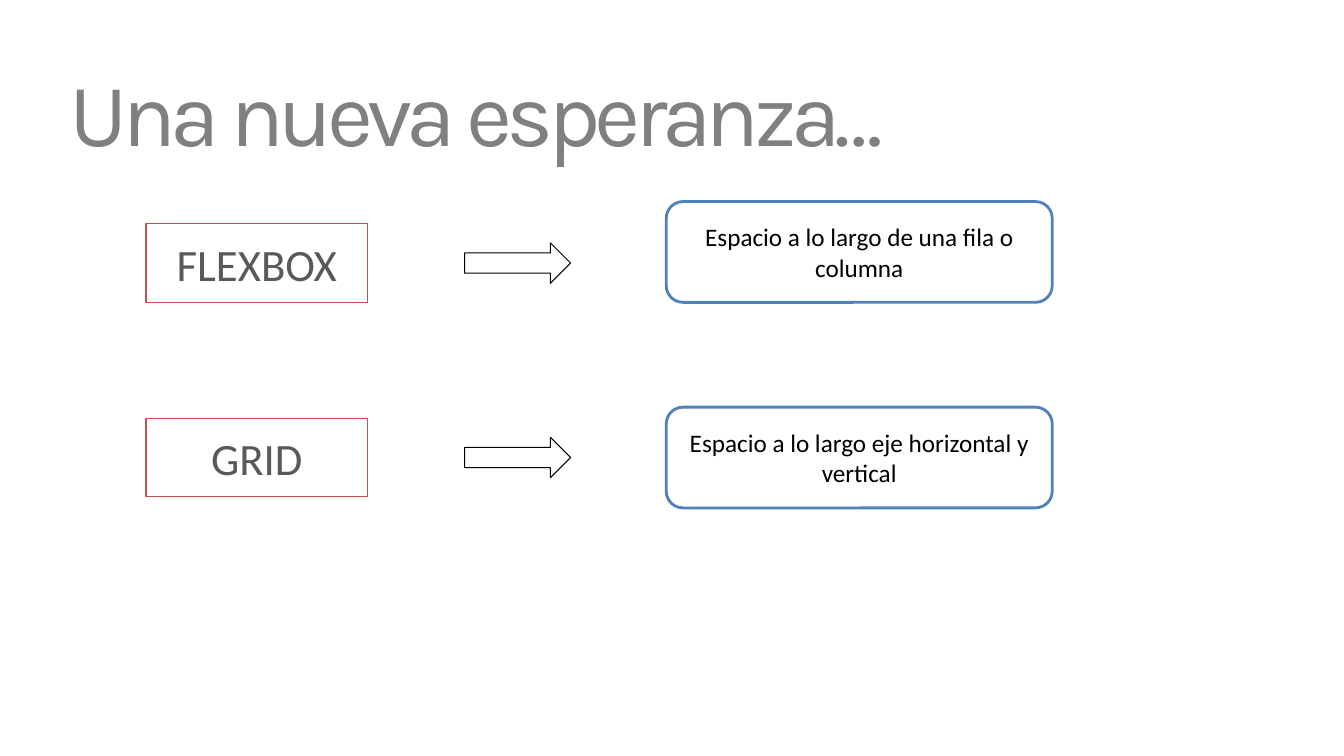
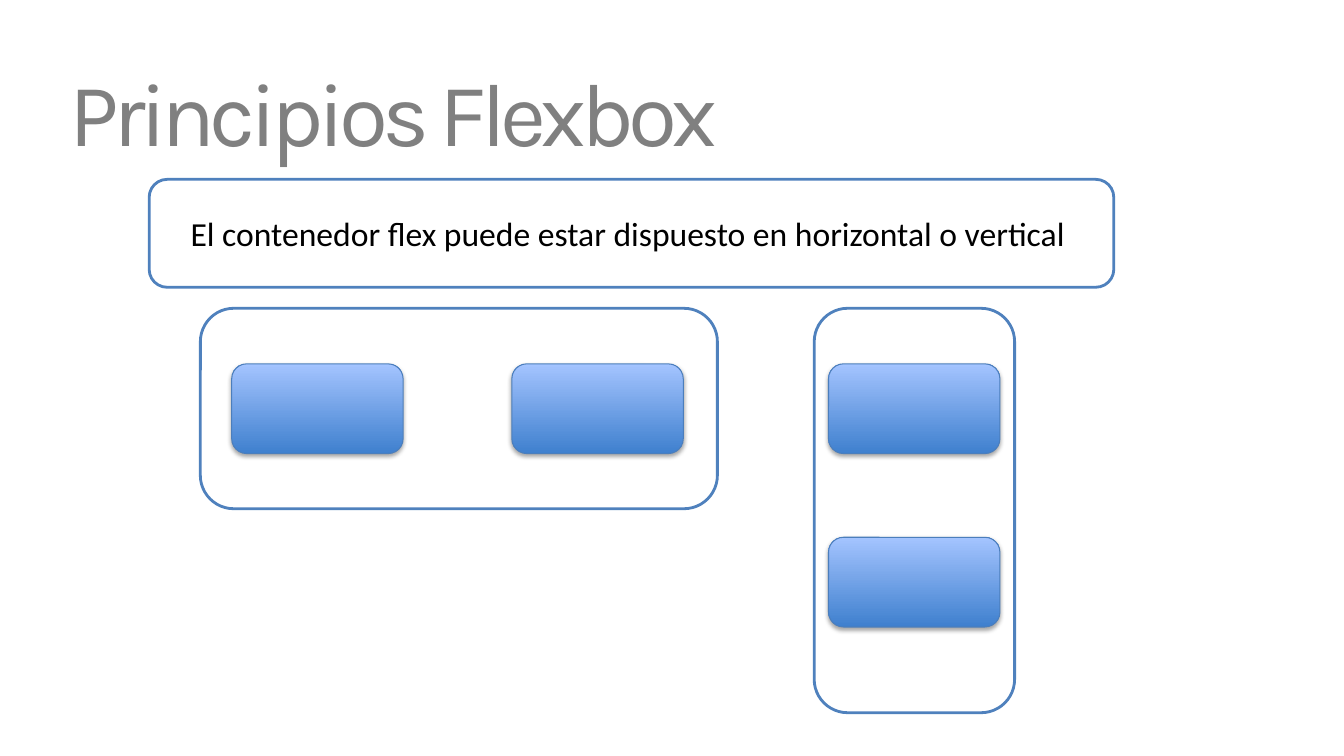
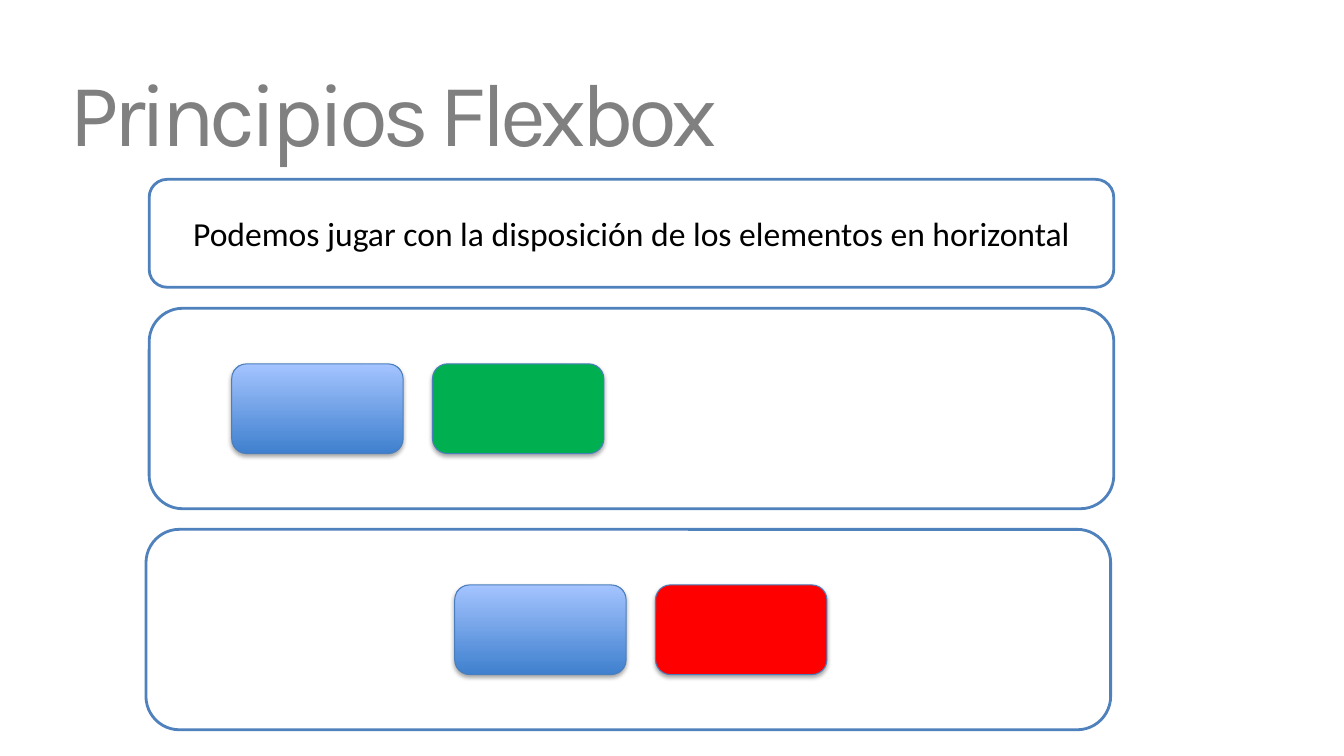
from lxml.etree import SubElement as Sub
from pptx import Presentation
from pptx.dml.color import RGBColor
from pptx.enum.shapes import MSO_SHAPE as Kind
from pptx.enum.text import MSO_ANCHOR as Anchor, PP_ALIGN as Align
from pptx.oxml.ns import qn
from pptx.util import Cm, Pt

# Colours
WHITE = RGBColor(0xFF, 0xFF, 0xFF)
BLACK = RGBColor(0x00, 0x00, 0x00)
GREY = RGBColor(0x80, 0x80, 0x80)
DARK = RGBColor(0x59, 0x59, 0x59)
BLUE = RGBColor(0x4F, 0x81, 0xBD)
EDGE = RGBColor(0x4B, 0x7E, 0xBC)
DEEP = RGBColor(0x3F, 0x80, 0xCE)
LIGHT = RGBColor(0xA4, 0xC4, 0xFF)
BRICK = RGBColor(0xC0, 0x50, 0x4D)
GREEN = RGBColor(0x00, 0xB0, 0x50)
RED = RGBColor(0xFF, 0x00, 0x00)

# Shared layout, in cm
LEFT, WIDE = 3.76, 24.31
TOP, HIGH = 7.77, 5.05
PAD = 1.4
CARD_W, CARD_H = 4.32, 2.26
STEP = 5.06


class Deck:
    """Holds the style and the current slide."""

    def __init__(self):
        self.prs = Presentation()
        self.prs.slide_width = Cm(33.87)
        self.prs.slide_height = Cm(19.05)

    def start(self, title):
        """Add a slide with its title."""
        self.slide = self.prs.slides.add_slide(self.prs.slide_layouts[6])
        box = self.slide.shapes.add_textbox(
            Cm(1.5), Cm(1.12), Cm(30.48), Cm(3.33))
        self.label(box, title, 64, GREY, "Karla", Align.LEFT)
        run = box.text_frame.paragraphs[0].runs[0]
        run.font._element.set("spc", "-400")

    def label(self, shape, text, size, color, face="Calibri",
              align=Align.CENTER):
        """Set and format the text of a shape."""
        frame = shape.text_frame
        frame.word_wrap = True
        frame.vertical_anchor = Anchor.MIDDLE
        frame.text = text
        para = frame.paragraphs[0]
        para.alignment = align
        font = para.runs[0].font
        font.name, font.size, font.color.rgb = face, Pt(size), color

    def shape(self, kind, x, y, w, h, line, width=0.75, fill=None):
        item = self.slide.shapes.add_shape(kind, Cm(x), Cm(y), Cm(w), Cm(h))
        item.shadow.inherit = False
        item.line.color.rgb = line
        item.line.width = Pt(width)
        if fill is None:
            item.fill.background()
        else:
            item.fill.solid()
            item.fill.fore_color.rgb = fill
        return item

    def term(self, x, y, w, h, text):
        item = self.shape(Kind.RECTANGLE, x, y, w, h, BRICK)
        self.label(item, text, 32, DARK)

    def arrow(self, x, y, w, h):
        self.shape(Kind.RIGHT_ARROW, x, y, w, h, BLACK)

    def panel(self, x, y, w, h, text="", size=24):
        item = self.shape(Kind.ROUNDED_RECTANGLE, x, y, w, h, BLUE, 2, WHITE)
        if text:
            self.label(item, text, size, BLACK)

    def banner(self, text):
        self.panel(LEFT, 4.52, WIDE, 2.72, text)

    def card(self, x, y, fill=None):
        """Add a raised card, with a blue gradient unless a fill is given."""
        item = self.shape(Kind.ROUNDED_RECTANGLE, x, y, CARD_W, CARD_H,
                          EDGE, fill=fill)
        if fill is None:
            item.fill.gradient()
            item.fill.gradient_angle = 90
            for stop, color in zip(item.fill.gradient_stops, (DEEP, LIGHT)):
                stop.color.rgb = color
        # Soft shadow below the card
        fx = item._element.spPr.find(qn("a:effectLst"))
        shade = Sub(fx, qn("a:outerShdw"), blurRad=str(Pt(3.1)),
                    dist=str(Pt(1.8)), dir="5400000", rotWithShape="0")
        tone = Sub(shade, qn("a:srgbClr"), val=str(BLACK))
        Sub(tone, qn("a:alpha"), val="35000")


def main():
    deck = Deck()

    # Slide 1: each layout model and its meaning
    deck.start("Una nueva esperanza…")
    rows = (
        (5.64, 5.08, "FLEXBOX", "Espacio a lo largo de una fila o columna"),
        (10.54, 10.26, "GRID", "Espacio a lo largo eje horizontal y vertical"),
    )
    for y, top, name, text in rows:
        deck.term(3.68, y, 5.59, 1.98, name)
        deck.arrow(11.71, y + 0.48, 2.67, 1.02)
        deck.panel(16.79, top, 9.73, 2.54, text, 18)

    # Slide 2: a row container and a column container
    deck.start("Principios Flexbox")
    deck.banner("El contenedor flex puede estar dispuesto "
                "en horizontal o vertical ")
    deck.panel(5.05, TOP, 13.03, HIGH)
    for x in (5.84, 12.9):
        deck.card(x, TOP + PAD)
    deck.panel(20.52, TOP, HIGH, 10.19)
    for y in (TOP + PAD, 13.54):
        deck.card(20.88, y)

    # Slide 3: items at the start and at the centre
    deck.start("Principios Flexbox")
    deck.banner("Podemos jugar con la disposición "
                "de los elementos en horizontal")
    for left, top, x, color in ((LEFT, TOP, 5.84, GREEN),
                                (3.68, 13.34, 11.46, RED)):
        deck.panel(left, top, WIDE, HIGH)
        deck.card(x, top + PAD)
        deck.card(x + STEP, top + PAD, color)

    deck.prs.save("out.pptx")


if __name__ == "__main__":
    main()
